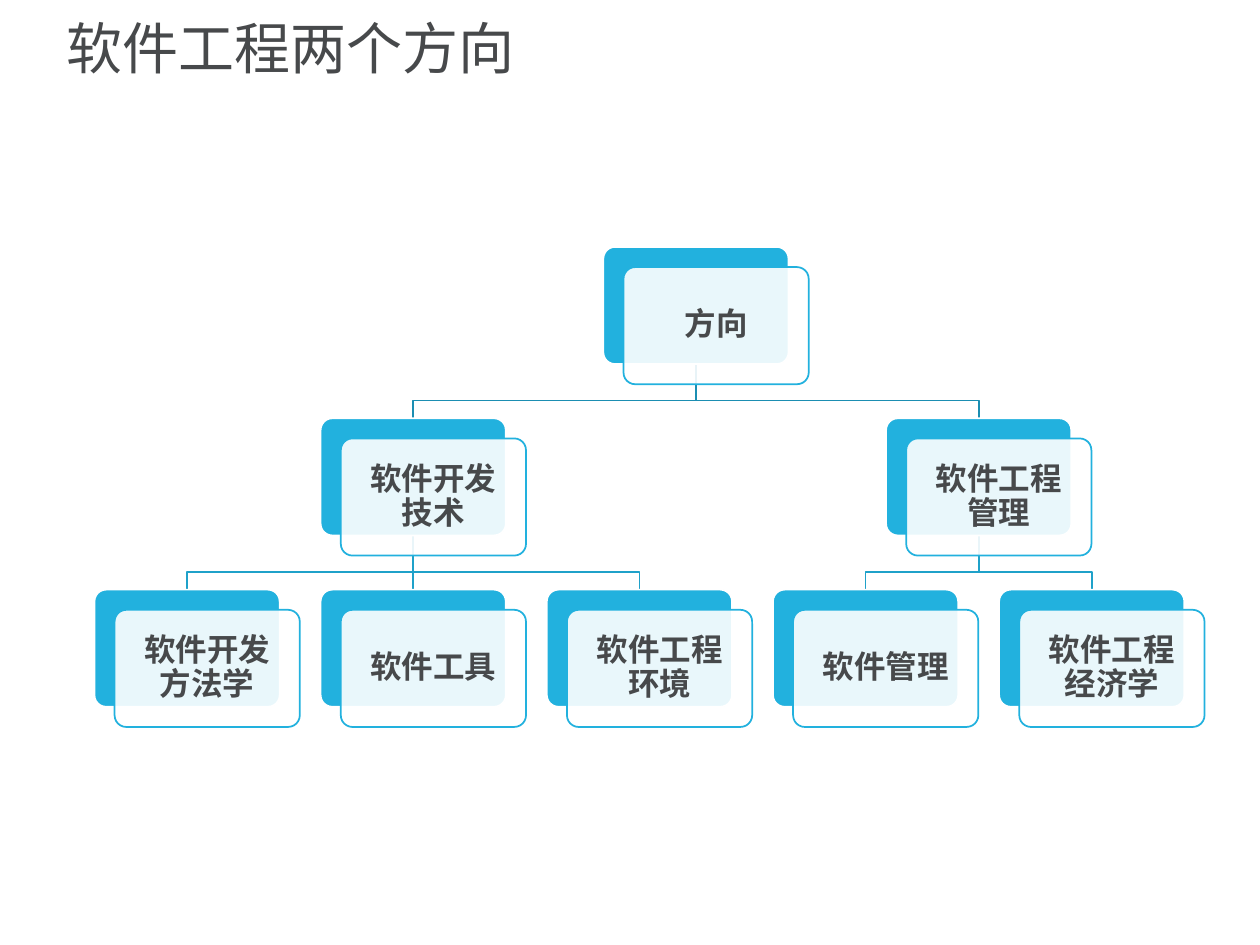
"""Build a slide with a three-level tree of the two directions of software engineering."""
from pptx import Presentation
from pptx.dml.color import RGBColor
from pptx.enum.shapes import MSO_CONNECTOR, MSO_SHAPE
from pptx.enum.text import MSO_ANCHOR, PP_ALIGN
from pptx.oxml.ns import qn
from pptx.util import Inches, Pt
from lxml.etree import SubElement

FONT = "Noto Sans CJK SC"
BLUE = RGBColor(0x22, 0xB1, 0xDE)
DEEP = RGBColor(0x1B, 0x8E, 0xB2)
MID = RGBColor(0x1F, 0xA1, 0xC9)
GREY = RGBColor(0x47, 0x49, 0x4B)
WHITE = RGBColor(0xFF, 0xFF, 0xFF)

LEFT, TOP = Inches(0.75), Inches(1.96)
COL, ROW = Inches(1.795), Inches(1.36)
WIDE, HIGH = Inches(1.47), Inches(0.93)
SHIFT, BEND = Inches(0.16), Inches(0.29)

NODES = [
    ("方向", 2.25, 0, None),
    ("软件开发技术", 1, 1, "方向"),
    ("软件工程管理", 3.5, 1, "方向"),
    ("软件开发方法学", 0, 2, "软件开发技术"),
    ("软件工具", 1, 2, "软件开发技术"),
    ("软件工程环境", 2, 2, "软件开发技术"),
    ("软件管理", 3, 2, "软件工程管理"),
    ("软件工程经济学", 4, 2, "软件工程管理"),
]


def write(frame, text, size, bold, align):
    frame.word_wrap = True
    frame.vertical_anchor = MSO_ANCHOR.MIDDLE
    para = frame.paragraphs[0]
    para.alignment = align
    para.line_spacing = 0.9
    run = para.add_run()
    run.text = text
    run.font.size = Pt(size)
    run.font.bold = bold
    run.font.color.rgb = GREY
    run.font.name = FONT
    SubElement(run.font._element, qn("a:ea"), typeface=FONT)
    return para


def plate(x, y, fill, line):
    box = shapes.add_shape(MSO_SHAPE.ROUNDED_RECTANGLE, x, y, WIDE, HIGH)
    box.adjustments[0] = 0.1
    box.shadow.inherit = False
    box.fill.solid()
    box.fill.fore_color.rgb = fill
    box.line.color.rgb = line
    box.line.width = Pt(1)
    return box


prs = Presentation()
prs.slide_width, prs.slide_height = Inches(10), Inches(7.5)
slide = prs.slides.add_slide(prs.slide_layouts[5])
shapes = slide.shapes

title = shapes.title
title.left, title.top = Inches(0.43), Inches(0.06)
title.width, title.height = Inches(9.05), Inches(0.7)
write(title.text_frame, "软件工程两个方向", 32, False, PP_ALIGN.LEFT).space_before = Pt(6)

boxes = {}
for name, col, row, boss in NODES:
    x, y = LEFT + int(col * COL), TOP + row * ROW
    boxes[name] = plate(x, y, BLUE, WHITE)
    card = plate(x + SHIFT, y + SHIFT, WHITE, BLUE)
    tint = card._element.spPr.find(qn("a:solidFill")).find(qn("a:srgbClr"))
    SubElement(tint, qn("a:alpha"), val="90000")
    frame = card.text_frame
    frame.margin_left = frame.margin_right = Inches(0.1)
    frame.margin_top = frame.margin_bottom = Inches(0.1)
    write(frame, name, 18, True, PP_ALIGN.CENTER).space_after = Pt(6.3)

for name, col, row, boss in NODES[1:]:
    high, low = boxes[boss], boxes[name]
    x, y = high.left + WIDE // 2, high.top + HIGH
    end = low.left + WIDE // 2
    if x == end:
        link = shapes.add_connector(MSO_CONNECTOR.STRAIGHT, x, y, end, low.top)
        link.begin_connect(high, 2)
        link.end_connect(low, 0)
        SubElement(link._element.spPr, qn("a:effectLst"))
    else:
        pen = shapes.build_freeform(x, y)
        pen.add_line_segments([(x, y + BEND), (end, y + BEND), (end, low.top)], close=False)
        link = pen.convert_to_shape()
        link.fill.background()
        link.shadow.inherit = False
    link.line.color.rgb = DEEP if row == 1 else MID
    link.line.width = Pt(1)
    title._element.addnext(link._element)
    if x == end:
        spare = link._element.spPr.find(qn("a:effectLst"))
        link._element.spPr.append(spare)

prs.save("out.pptx")
